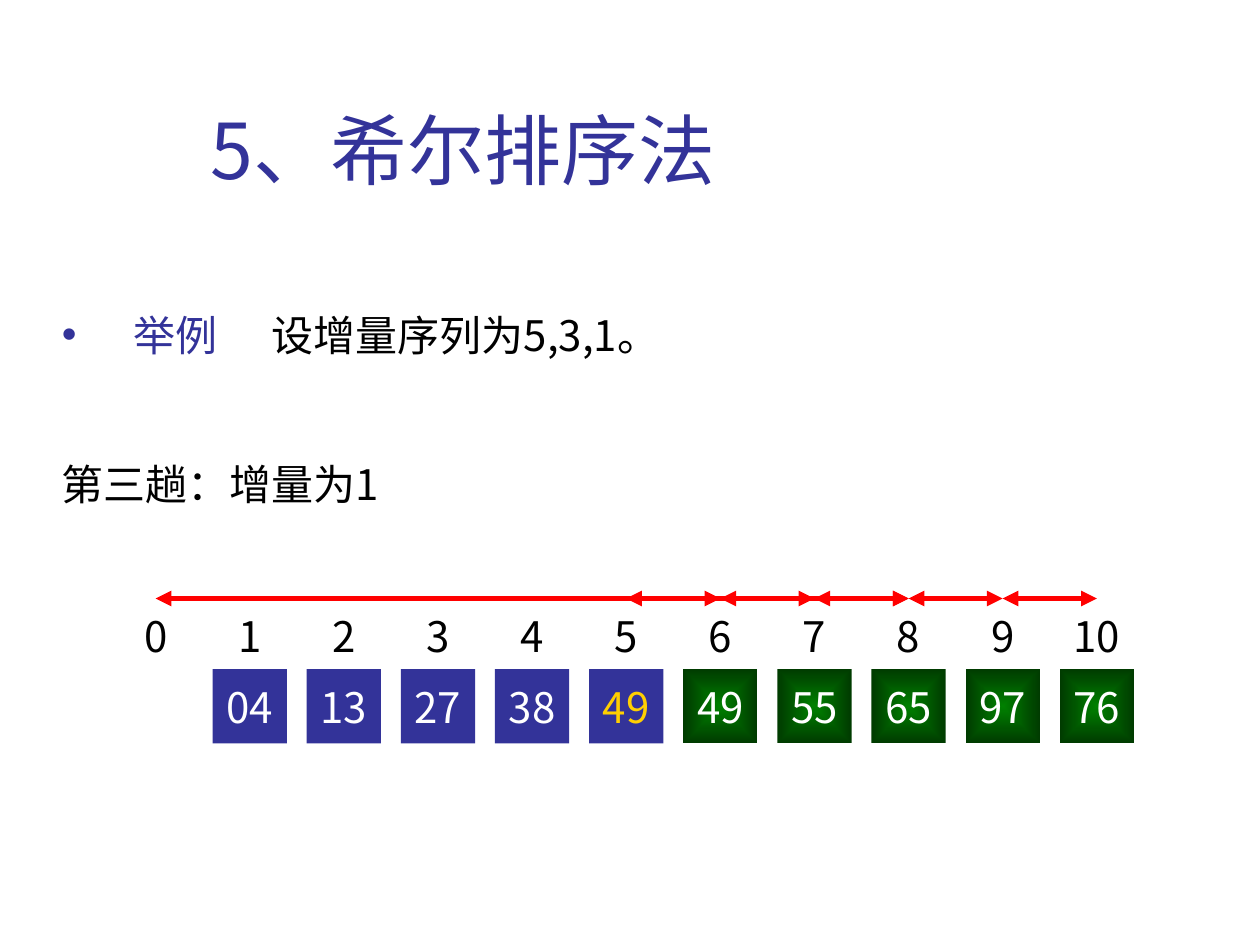
"""Build the Shell sort slide showing the third pass with increment 1."""
import pptx
import pptx.dml.color
import pptx.enum.shapes
import pptx.enum.text
import pptx.oxml.ns
import pptx.oxml.xmlchemy
import pptx.util

Inches, Pt = pptx.util.Inches, pptx.util.Pt
ALIGN = pptx.enum.text.PP_ALIGN
qn = pptx.oxml.ns.qn

TITLE = "5、希尔排序法"
EXAMPLE = "举例"
INCREMENTS = "设增量序列为5,3,1。"
PASS = "第三趟：增量为1"
INDEXES = range(11)
VALUES = ["04", "13", "27", "38", "49", "49", "55", "65", "97", "76"]
SORTED_COUNT = 5
CURRENT = 4
SPANS = [(5, 6), (6, 7), (7, 8), (8, 9), (9, 10), (8, 0)]

FONT = "Noto Sans CJK SC"
COLORS = {
    "accent": "333399",
    "text": "000000",
    "light": "FFFFFF",
    "current": "FFCF01",
    "arrow": "FF0000",
    "green": "008000",
    "dark green": "003B00",
}
FRAME = {
    "vertical_anchor": pptx.enum.text.MSO_ANCHOR.MIDDLE,
    "auto_size": pptx.enum.text.MSO_AUTO_SIZE.NONE,
    "margin_left": Inches(0.1),
    "margin_right": Inches(0.1),
    "margin_top": Inches(0.05),
    "margin_bottom": Inches(0.05),
}
LINE_LEFT, LINE_WIDTH, SIDE = 0.39, 9.05, 0.59
EXAMPLE_TOP, PASS_TOP, INDEX_TOP, CELL_TOP = 2.36, 3.54, 4.75, 5.31
FIRST, LAST = 0.94, 8.41
PITCH = (LAST - FIRST) / INDEXES[-1]


def rgb(name):
    return pptx.dml.color.RGBColor.from_string(COLORS[name])


def assign(target, values):
    for key, value in values.items():
        setattr(target, key, value)


def place(shape, left, top, width, height):
    box = {"left": left, "top": top, "width": width, "height": height}
    assign(shape, {key: Inches(value) for key, value in box.items()})


def write(shape, text, color="text", size=24, align=ALIGN.CENTER, wrap=False):
    assign(shape.text_frame, {**FRAME, "word_wrap": wrap})
    paragraph = shape.text_frame.paragraphs[0]
    assign(paragraph, {"alignment": align, "space_before": Pt(0)})
    run = paragraph.add_run()
    run.text = text
    assign(run.font, {"size": Pt(size), "name": FONT})
    run.font.color.rgb = rgb(color)
    pptx.oxml.xmlchemy.OxmlElement("a:ea")
    add_child(run.font._element, "a:ea", typeface=FONT)
    return paragraph


def add_child(parent, tag, **attributes):
    child = pptx.oxml.xmlchemy.OxmlElement(tag)
    for key, value in attributes.items():
        child.set(key, value)
    parent.append(child)
    return child


def indent(paragraph, margin, first=0):
    properties = paragraph._p.get_or_add_pPr()
    properties.set("marL", str(Inches(margin)))
    properties.set("indent", str(Inches(first)))
    return properties


def add_text(slide, text, left, top, width, **style):
    box = slide.shapes.add_textbox(0, 0, 0, 0)
    place(box, left, top, width, SIDE)
    return box, write(box, text, **style)


def fill_green(shape):
    shape.fill.gradient()
    for stop, name in zip(shape.fill.gradient_stops, ("green", "dark green")):
        stop.color.rgb = rgb(name)
    for position, stop in enumerate(shape.fill.gradient_stops):
        stop.position = position
    gradient = shape._element.spPr.find(qn("a:gradFill"))
    gradient.remove(gradient.find(qn("a:lin")))
    center = add_child(gradient, "a:path", path="rect")
    add_child(center, "a:fillToRect", l="50000", t="50000", r="50000", b="50000")


def add_cell(slide, position, value):
    cell = slide.shapes.add_shape(pptx.enum.shapes.MSO_SHAPE.RECTANGLE, 0, 0, 0, 0)
    place(cell, FIRST + (position + 1) * PITCH, CELL_TOP, SIDE, SIDE)
    cell.shadow.inherit = False
    cell.line.fill.background()
    if position < SORTED_COUNT:
        cell.fill.solid()
        cell.fill.fore_color.rgb = rgb("accent")
    else:
        fill_green(cell)
    write(cell, value, "current" if position == CURRENT else "light")


def add_span(slide, start, end):
    straight = pptx.enum.shapes.MSO_CONNECTOR.STRAIGHT
    arrow = slide.shapes.add_connector(straight, 0, 0, 0, 0)
    arrow.begin_connect(start, 0)
    arrow.end_connect(end, 0)
    arrow.line.width = Pt(3)
    arrow.line.color.rgb = rgb("arrow")
    for tag in ("a:headEnd", "a:tailEnd"):
        add_child(arrow.line._get_or_add_ln(), tag, type="triangle")
    add_child(arrow._element.spPr, "a:effectLst")


def main():
    deck = pptx.Presentation()
    assign(deck, {"slide_width": Inches(10), "slide_height": Inches(7.5)})
    slide = deck.slides.add_slide(deck.slide_layouts[1])
    title, example = slide.placeholders

    place(title, 1.57, 0.59, 7.48, 1.18)
    write(title, TITLE, "accent", 44, ALIGN.LEFT, True)

    place(example, LINE_LEFT, EXAMPLE_TOP, LINE_WIDTH, SIDE)
    bulleted = write(example, EXAMPLE, "accent", align=ALIGN.JUSTIFY, wrap=True)
    properties = indent(bulleted, 0.57, -0.57)
    add_child(add_child(properties, "a:buClr"), "a:srgbClr", val=COLORS["accent"])
    add_child(properties, "a:buChar", char="•")

    line_style = {"align": ALIGN.JUSTIFY, "wrap": True}
    _, increments = add_text(
        slide, INCREMENTS, LINE_LEFT, EXAMPLE_TOP, LINE_WIDTH, **line_style)
    indent(increments, 1.67)
    add_text(slide, PASS, LINE_LEFT, PASS_TOP, LINE_WIDTH, **line_style)

    for position, value in enumerate(VALUES):
        add_cell(slide, position, value)
    indexes = [
        add_text(slide, str(index), FIRST + index * PITCH, INDEX_TOP, SIDE)[0]
        for index in INDEXES
    ]
    for start, end in SPANS:
        add_span(slide, indexes[start], indexes[end])
    deck.save("out.pptx")


if __name__ == "__main__":
    main()
